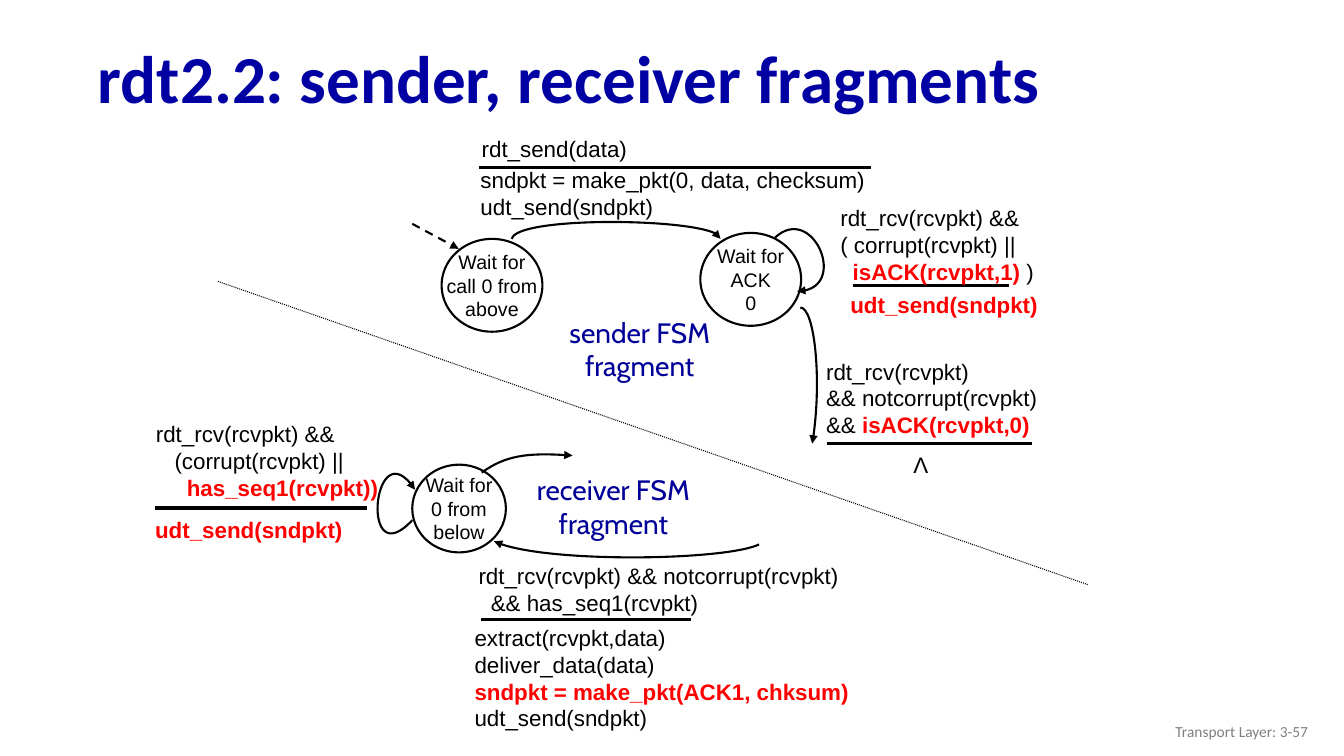
"""Build the slide with the rdt2.2 sender and receiver state machine fragments."""
from lxml.etree import SubElement
from pptx import Presentation
from pptx.dml.color import RGBColor
from pptx.enum.dml import MSO_LINE
from pptx.enum.shapes import MSO_CONNECTOR, MSO_SHAPE
from pptx.enum.text import MSO_ANCHOR, PP_ALIGN
from pptx.oxml.ns import qn
from pptx.util import Cm, Pt

COLORS = {"title": "0000A3", "label": "000099", "ink": "000000",
          "change": "FF0000", "footer": "808080", "state": "FFFFFF"}

TITLE = "rdt2.2: sender, receiver fragments"
TITLE_BOX = (2.21, 0.81, 30.84, 2.49)
FOOTER = "Transport Layer: 3-57"
FOOTER_BOX = (25.6, 17.91, 7.62, 1.02)

STATES = [
    ((11.13, 6.02, 2.54, 2.34), ["Wait for", "call 0 from", "above"]),
    ((17.65, 5.87, 2.54, 2.34), ["Wait for", "ACK", "0"]),
    ((10.39, 11.71, 2.36, 2.21), ["Wait for", "0 from", "below"]),
]

# Each line is an indent and its text; asterisks enclose what is new in rdt2.2.
EVENTS = [
    ((11.89, 3.28, 4.8, 0.79), [(0, "rdt_send(data)")]),
    ((11.86, 4.06, 10.34, 1.12), [(0, "sndpkt = make_pkt(0, data, checksum)"),
                                  (0, "udt_send(sndpkt)")]),
    ((20.93, 5.03, 7.54, 1.57), [(0, "rdt_rcv(rcvpkt) &&"),
                                 (0, "( corrupt(rcvpkt) ||"),
                                 (0.31, "*isACK(rcvpkt,1)* )")]),
    ((21.18, 7.21, 5.89, 1.12), [(0, "*udt_send(sndpkt)*")]),
    ((20.57, 8.89, 6.71, 1.57), [(0, "rdt_rcv(rcvpkt)"),
                                 (0, "&& notcorrupt(rcvpkt)"),
                                 (0, "&& *isACK(rcvpkt,0)*")]),
    ((22.77, 11.25, 1.04, 0.94), [(0, "Λ")]),
    ((11.81, 14.05, 10.95, 1.57), [(0, "rdt_rcv(rcvpkt) && notcorrupt(rcvpkt)"),
                                   (0.31, "&& has_seq1(rcvpkt)")]),
    ((11.71, 15.6, 11.61, 1.93), [(0, "extract(rcvpkt,data)"),
                                  (0, "deliver_data(data)"),
                                  (0, "*sndpkt = make_pkt(ACK1, chksum)*"),
                                  (0, "udt_send(sndpkt)")]),
    ((3.68, 10.46, 6.55, 1.78), [(0, "rdt_rcv(rcvpkt) &&"),
                                 (0.47, "(corrupt(rcvpkt) ||"),
                                 (0.78, "*has_seq1(rcvpkt))*")]),
    ((3.66, 12.88, 5.66, 1.14), [(0, "*udt_send(sndpkt)*")]),
]

FRAGMENT_LABELS = [
    ((14.07, 7.82, 4.11, 1.96), ["sender FSM", "fragment"]),
    ((13.21, 11.79, 4.5, 1.96), ["receiver FSM", "fragment"]),
]

EVENT_RULES = [(12.07, 21.95, 4.22), (21.49, 25.43, 7.19), (20.83, 26.01, 11.18),
               (12.12, 17.42, 15.62), (3.91, 9.25, 12.8)]
START_ARROW = (10.39, 5.64, 11.56, 6.27)
DIVIDER = (5.49, 7.09, 27.41, 14.73)

TRANSITIONS = [
    [(12.9, 6.02), (13, 5.46), (18.16, 5.49), (18.16, 6.02)],
    [(19.53, 5.99), (20.45, 5.13), (21.44, 7.32), (20.09, 7.34)],
    [(20.17, 7.75), (20.52, 7.75), (20.73, 9.63), (20.47, 11.18)],
    [(12.14, 11.91), (12.73, 11.48), (13.36, 11.4), (14.43, 11.48)],
    [(19.13, 13.72), (18.29, 14.12), (13.61, 14.2), (12.45, 13.64)],
    [(10.39, 13.11), (9.09, 14.5), (9.4, 10.74), (10.46, 12.34)],
]


def rgb(name):
    return RGBColor.from_string(COLORS[name])


def lengths(values):
    return [Cm(value) for value in values]


def style_run(run, font, size, color, bold=False):
    run.font.name, run.font.size, run.font.bold = font, Pt(size), bold
    run.font.color.rgb = rgb(color)


def write_lines(frame, lines, font, size, color, align, bold=False):
    frame.text = "\n".join(lines)
    for paragraph in frame.paragraphs:
        paragraph.alignment = align
        for run in paragraph.runs:
            style_run(run, font, size, color, bold)


def style_line(line, width, dash=None, arrow=False):
    line.color.rgb, line.width = rgb("ink"), Pt(width)
    if dash:
        line.dash_style = dash
    if arrow:
        SubElement(line._get_or_add_ln(), qn("a:tailEnd"), type="triangle")


def add_line(slide, ends, width, dash=None, arrow=False):
    connector = slide.shapes.add_connector(MSO_CONNECTOR.STRAIGHT, *lengths(ends))
    style_line(connector.line, width, dash, arrow)
    SubElement(connector._element.spPr, qn("a:effectLst"))


def add_text_box(slide, box, wrap=True):
    frame = slide.shapes.add_textbox(*lengths(box)).text_frame
    frame.word_wrap = wrap
    return frame


def add_title(slide):
    title = slide.shapes.title
    title.left, title.top, title.width, title.height = lengths(TITLE_BOX)
    frame = title.text_frame
    write_lines(frame, [TITLE], "Calibri", 48, "title", PP_ALIGN.LEFT, True)
    frame.vertical_anchor = MSO_ANCHOR.MIDDLE
    frame.paragraphs[0].line_spacing = 0.9


def add_state(slide, box, lines):
    state = slide.shapes.add_shape(MSO_SHAPE.OVAL, *lengths(box))
    state.shadow.inherit = False
    state.fill.solid()
    state.fill.fore_color.rgb = rgb("state")
    style_line(state.line, 1.5)
    frame = state.text_frame
    frame.margin_left = frame.margin_right = frame.margin_top = frame.margin_bottom = 0
    frame.word_wrap = False
    frame.vertical_anchor = MSO_ANCHOR.MIDDLE
    write_lines(frame, lines, "Arial", 14, "ink", PP_ALIGN.CENTER)


def add_event(slide, box, lines):
    frame = add_text_box(slide, box)
    for index, (indent, text) in enumerate(lines):
        paragraph = frame.add_paragraph() if index else frame.paragraphs[0]
        if indent:
            paragraph._p.get_or_add_pPr().set("marL", str(Cm(indent)))
        for position, part in enumerate(text.split("*")):
            if part:
                run = paragraph.add_run()
                run.text = part
                changed = position % 2 == 1
                style_run(run, "Arial", 16, "change" if changed else "ink", changed)


def add_transition(slide, points):
    start, *rest = [lengths(point) for point in points]
    builder = slide.shapes.build_freeform(*start)
    builder.add_line_segments(rest, close=False)
    curve = builder.convert_to_shape()
    segments = list(curve._element.iter(qn("a:lnTo")))
    outline = segments[0].getparent()
    bezier = SubElement(outline, qn("a:cubicBezTo"))
    for segment in segments:
        bezier.append(segment[0])
        outline.remove(segment)
    curve.shadow.inherit = False
    curve.fill.background()
    style_line(curve.line, 1.5, arrow=True)


def main():
    presentation = Presentation()
    presentation.slide_width, presentation.slide_height = Cm(33.87), Cm(19.05)
    slide = presentation.slides.add_slide(presentation.slide_layouts[5])
    add_title(slide)
    add_line(slide, DIVIDER, 0.75, MSO_LINE.ROUND_DOT)
    for box, lines in STATES:
        add_state(slide, box, lines)
    for points in TRANSITIONS:
        add_transition(slide, points)
    add_line(slide, START_ARROW, 1.5, MSO_LINE.DASH, arrow=True)
    for left, right, height in EVENT_RULES:
        add_line(slide, (left, height, right, height), 2.25)
    for box, lines in EVENTS:
        add_event(slide, box, lines)
    for box, lines in FRAGMENT_LABELS:
        frame = add_text_box(slide, box, wrap=False)
        write_lines(frame, lines, "Cabin", 20, "label", PP_ALIGN.CENTER)
    footer = add_text_box(slide, FOOTER_BOX)
    footer.vertical_anchor = MSO_ANCHOR.MIDDLE
    write_lines(footer, [FOOTER], "Calibri", 11, "footer", PP_ALIGN.RIGHT)
    presentation.save("out.pptx")


if __name__ == "__main__":
    main()
